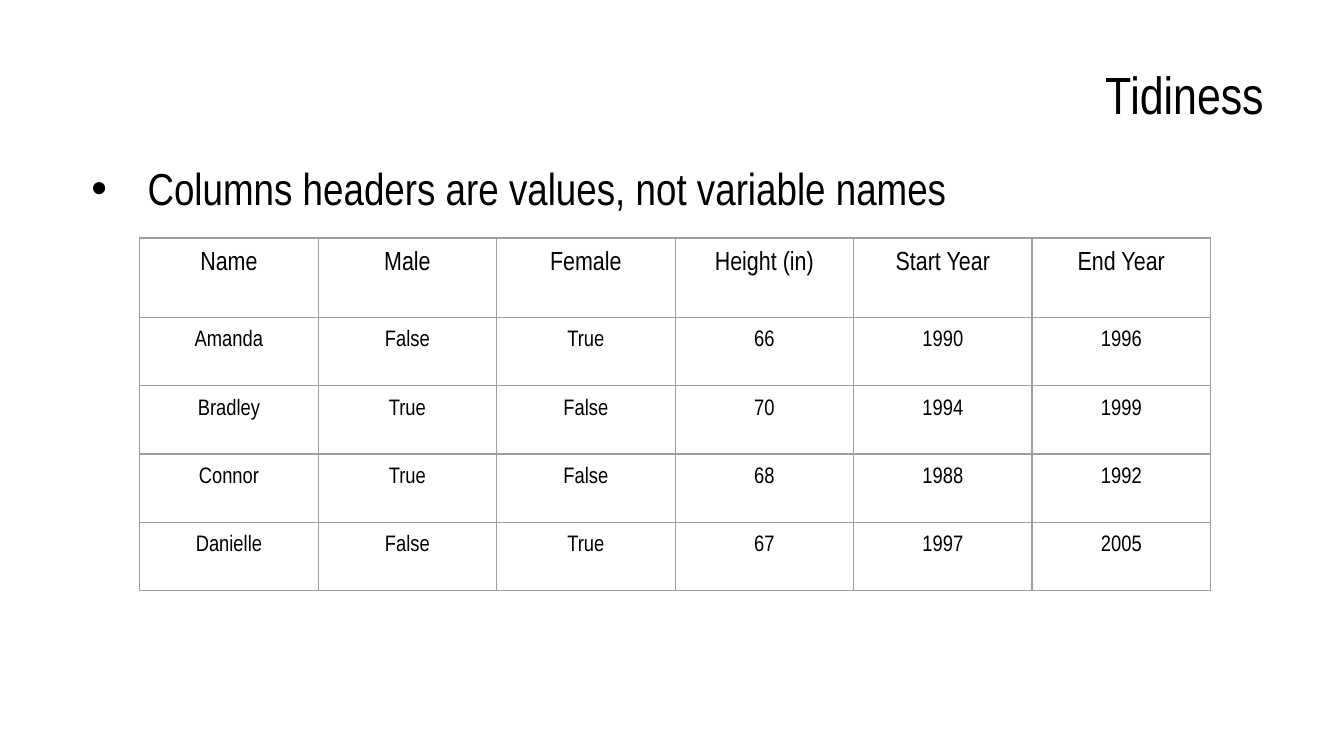
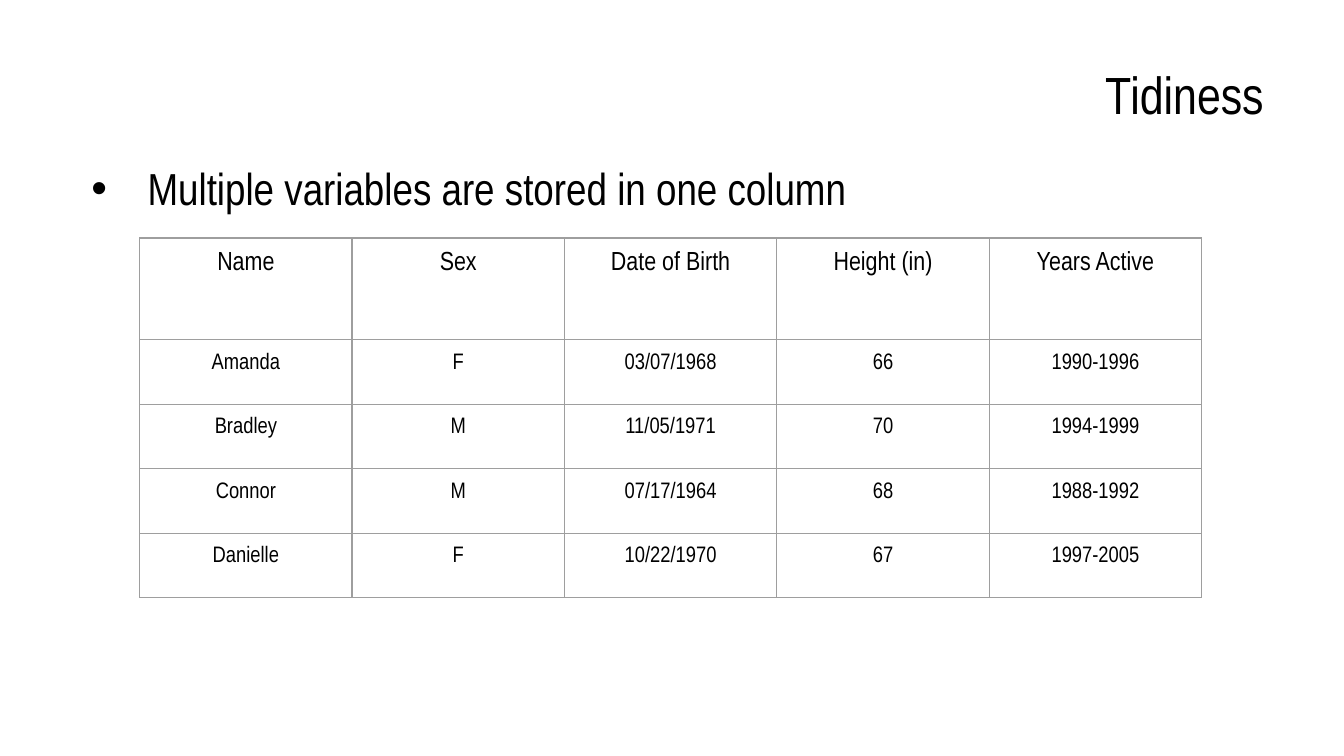
from lxml.etree import SubElement
from pptx import Presentation
from pptx.dml.color import RGBColor
from pptx.enum.text import MSO_ANCHOR, PP_ALIGN
from pptx.oxml.ns import qn
from pptx.util import Cm, Pt

FONT, INK, RULE = "Arial Narrow", "000000", "9E9E9E"
PAD = Cm(0.25)
TITLE = "Tidiness"

# Content: point, table width, head and body row heights (cm), rows
SLIDES = [
    {
        "point": "Columns headers are values, not variable names",
        "width": 20.24, "head": 1.5, "row": 1.29,
        "rows": [
            ("Name", "Male", "Female", "Height (in)", "Start Year", "End Year"),
            ("Amanda", "False", "True", "66", "1990", "1996"),
            ("Bradley", "True", "False", "70", "1994", "1999"),
            ("Connor", "True", "False", "68", "1988", "1992"),
            ("Danielle", "False", "True", "67", "1997", "2005"),
        ],
    },
    {
        "point": "Multiple variables are stored in one column",
        "width": 20.07, "head": 1.92, "row": 1.22,
        "rows": [
            ("Name", "Sex", "Date of Birth", "Height (in)", "Years Active"),
            ("Amanda", "F", "03/07/1968", "66", "1990-1996"),
            ("Bradley", "M", "11/05/1971", "70", "1994-1999"),
            ("Connor", "M", "07/17/1964", "68", "1988-1992"),
            ("Danielle", "F", "10/22/1970", "67", "1997-2005"),
        ],
    },
]


def color(code):
    return RGBColor.from_string(code)


def style(para, size, align):
    para.alignment = align
    para.font.name = FONT
    para.font.size = Pt(size)
    para.font.color.rgb = color(INK)


def pad(part):
    part.margin_left = part.margin_right = PAD
    part.margin_top = part.margin_bottom = PAD


def add_text(slide, text, top, height, anchor):
    box = slide.shapes.add_textbox(Cm(1.27), Cm(top), Cm(22.86), Cm(height))
    frame = box.text_frame
    frame.word_wrap = True
    frame.vertical_anchor = anchor
    pad(frame)
    frame.text = text
    return frame.paragraphs[0]


def add_bullet(para):
    props = para._p.get_or_add_pPr()
    props.set("marL", str(Cm(1.27)))
    props.set("indent", str(-Cm(1.06)))
    ink = SubElement(props, qn("a:buClr"))
    SubElement(ink, qn("a:srgbClr"), val=INK)
    SubElement(props, qn("a:buFont"), typeface="Arial")
    SubElement(props, qn("a:buChar"), char="•")


def add_border(cell):
    props = cell._tc.get_or_add_tcPr()
    for side in ("lnL", "lnR", "lnT", "lnB"):
        line = SubElement(props, qn("a:" + side), w=str(Pt(0.75)))
        fill = SubElement(line, qn("a:solidFill"))
        SubElement(fill, qn("a:srgbClr"), val=RULE)


def add_grid(slide, rows, width, head, row):
    count = len(rows[0])
    heights = [head] + [row] * (len(rows) - 1)
    table = slide.shapes.add_table(
        len(rows), count, Cm(2.64), Cm(4.5), Cm(width), Cm(sum(heights))
    ).table
    table.first_row = table.horz_banding = False
    for col in table.columns:
        col.width = Cm(width / count)
    for r, texts in enumerate(rows):
        table.rows[r].height = Cm(heights[r])
        for c, text in enumerate(texts):
            cell = table.cell(r, c)
            cell.text = text
            pad(cell)
            add_border(cell)
            cell.fill.background()
            style(cell.text_frame.paragraphs[0], 12 if r else 14,
                  PP_ALIGN.CENTER)


def main():
    deck = Presentation()
    deck.slide_width, deck.slide_height = Cm(25.4), Cm(14.29)
    for item in SLIDES:
        slide = deck.slides.add_slide(deck.slide_layouts[6])
        # Title
        title = add_text(slide, TITLE, 0.58, 2.39, MSO_ANCHOR.MIDDLE)
        style(title, 28, PP_ALIGN.RIGHT)
        # Bullet point
        point = add_text(slide, item["point"], 2.79, 9.42, MSO_ANCHOR.TOP)
        add_bullet(point)
        style(point, 24, PP_ALIGN.LEFT)
        point.space_after = Pt(10)
        # Table
        add_grid(slide, item["rows"], item["width"], item["head"], item["row"])
    deck.save("out.pptx")


if __name__ == "__main__":
    main()
